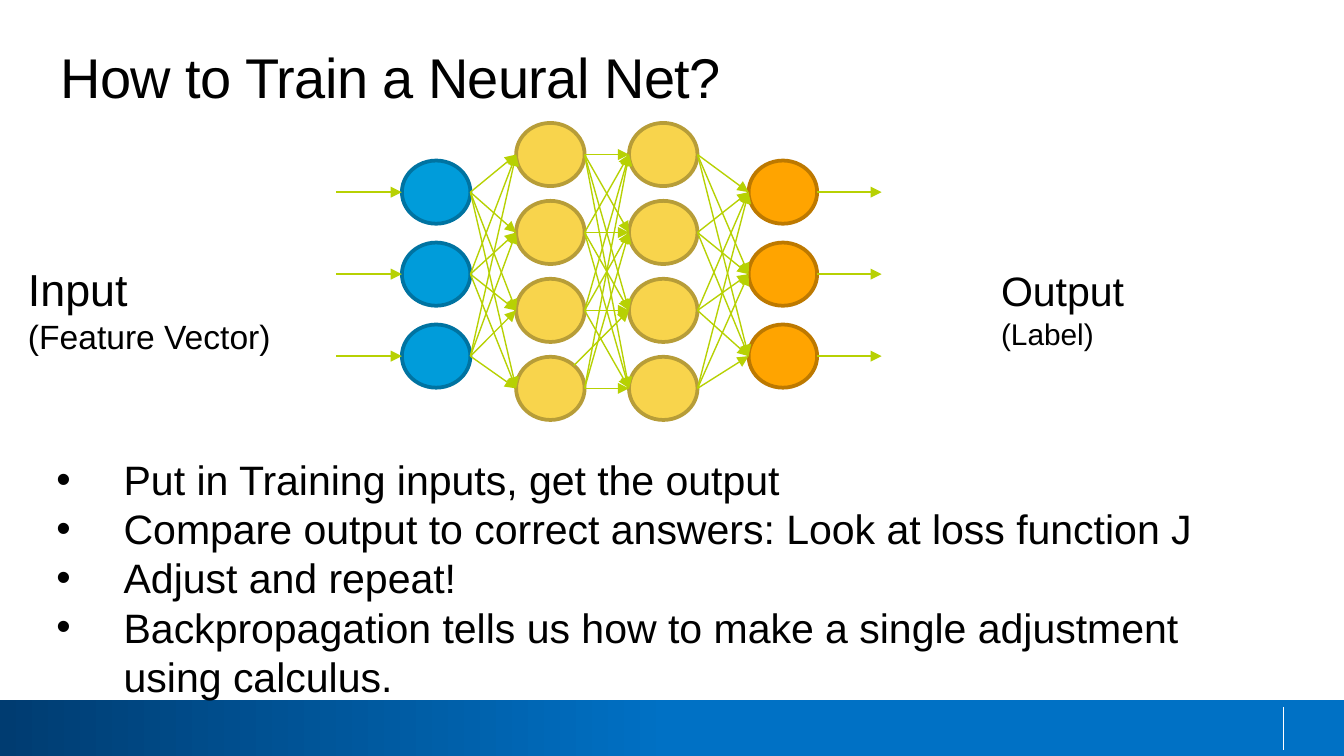
from itertools import pairwise, product

from pptx import Presentation
from pptx.dml.color import RGBColor
from pptx.enum.shapes import MSO_CONNECTOR as Conn, MSO_SHAPE as Geo
from pptx.enum.text import MSO_ANCHOR as Anchor, MSO_AUTO_SIZE as Fit, PP_ALIGN as Align
from pptx.oxml.ns import qn
from pptx.util import Inches, Pt
from lxml.etree import SubElement

BLACK = RGBColor(0x00, 0x00, 0x00)
WHITE = RGBColor(0xFF, 0xFF, 0xFF)
NAVY = RGBColor(0x00, 0x3C, 0x71)
BLUE = RGBColor(0x00, 0x71, 0xC5)
SKY = RGBColor(0x00, 0x9C, 0xDA)
SKY_RIM = RGBColor(0x00, 0x73, 0xA1)
GOLD = RGBColor(0xF8, 0xD4, 0x4C)
GOLD_RIM = RGBColor(0xB7, 0x9D, 0x38)
AMBER = RGBColor(0xFF, 0xA4, 0x00)
AMBER_RIM = RGBColor(0xBD, 0x79, 0x00)
LIME = RGBColor(0xB7, 0xD1, 0x03)

WIDTH = 10
HEIGHT = WIDTH * 9 / 16
NODE_W, NODE_H = 0.51, 0.47
OUTER = [1.43 + 0.61 * i for i in range(3)]
INNER = [1.15 + 0.58 * i for i in range(4)]
# Left edge, node centres, fill, rim
LAYERS = [
    (2.99, OUTER, SKY, SKY_RIM),
    (3.84, INNER, GOLD, GOLD_RIM),
    (4.68, INNER, GOLD, GOLD_RIM),
    (5.57, OUTER, AMBER, AMBER_RIM),
]
STEPS = [
    "Put in Training inputs, get the output",
    "Compare output to correct answers: Look at loss function J",
    "Adjust and repeat!",
    "Backpropagation tells us how to make a single adjustment using calculus.",
]


def put_text(shape, box, lines, sizes, inset=None, hang=0, track=0):
    """Place a text shape and fill it, one paragraph for each line."""
    shape.left, shape.top, shape.width, shape.height = map(Inches, box)
    frame = shape.text_frame
    frame.word_wrap = True
    frame.auto_size = Fit.NONE
    frame.vertical_anchor = Anchor.TOP
    if inset is not None:
        frame.margin_left = frame.margin_right = Inches(inset)
        frame.margin_top = frame.margin_bottom = Inches(inset)
    frame.text = "\n".join(lines)
    for par, size in zip(frame.paragraphs, sizes):
        par.alignment = Align.LEFT
        par.line_spacing = 1.0
        par.space_before = par.space_after = Pt(0)
        props = par._p.get_or_add_pPr()
        props.set("marL", str(Inches(hang)))
        props.set("indent", str(-Inches(hang)))
        font = par.runs[0].font
        font.name, font.size = "Arial", Pt(size)
        font.color.rgb = BLACK
        if track:
            par.runs[0]._r.get_or_add_rPr().set("spc", str(track))


def add_line(slide, start, end, color, arrow=True):
    line = slide.shapes.add_connector(Conn.STRAIGHT, *map(Inches, start + end))
    line.line.color.rgb = color
    line.line.width = Pt(0.75)
    if arrow:
        SubElement(line.line._get_or_add_ln(), qn("a:tailEnd"), type="triangle")
    SubElement(line._element.spPr, qn("a:effectLst"))


def add_node(slide, left, mid, fill, rim):
    node = slide.shapes.add_shape(
        Geo.OVAL, Inches(left), Inches(mid - NODE_H / 2), Inches(NODE_W), Inches(NODE_H))
    node.shadow.inherit = False
    node.fill.solid()
    node.fill.fore_color.rgb = fill
    node.line.color.rgb = rim
    node.line.width = Pt(2)


def add_band(slide):
    band = slide.shapes.add_shape(
        Geo.RECTANGLE, 0, Inches(5.21), Inches(WIDTH), Inches(HEIGHT - 5.21))
    band.shadow.inherit = False
    band.line.fill.background()
    band.fill.gradient()
    band.fill.gradient_angle = 0
    for stop, color, pos in zip(band.fill.gradient_stops, (NAVY, BLUE), (0, 0.5)):
        stop.color.rgb, stop.position = color, pos
    add_line(slide, (9.55, 5.26), (9.55, 5.58), WHITE, arrow=False)


def add_net(slide):
    for left, mids, fill, rim in LAYERS:
        for mid in mids:
            add_node(slide, left, mid, fill, rim)

    # Every node feeds every node of the next layer
    for (left, mids, *_), (right, ends, *_) in pairwise(LAYERS):
        for mid, end in product(mids, ends):
            start = (left + NODE_W, mid)
            # One edge leaves from the upper right of its node
            if mids is ends and (mid, end) == (INNER[3], INNER[2]):
                start = (4.27, 2.72)
            add_line(slide, start, (right, end), LIME)

    # Arrows into and out of the net
    for mid in OUTER:
        add_line(slide, (2.5, mid), (2.99, mid), LIME)
        add_line(slide, (6.08, mid), (6.56, mid), LIME)


def main():
    deck = Presentation()
    deck.slide_width, deck.slide_height = Inches(WIDTH), Inches(HEIGHT)
    slide = deck.slides.add_slide(deck.slide_layouts[1])
    title, body = slide.placeholders

    add_band(slide)
    put_text(title, (0.45, 0.32, 9.22, 0.5), ["How to Train a Neural Net?"], [30],
             inset=0, track=-30)
    add_net(slide)

    # Labels beside the net
    for box, lines, sizes in [
        ((0.11, 1.9, 2.05, 0.81), ["Input", "(Feature Vector)"], (24, 18)),
        ((7.35, 1.93, 2.32, 0.74), ["Output", "(Label)"], (22, 16)),
    ]:
        put_text(slide.shapes.add_textbox(0, 0, 0, 0), box, lines, sizes)

    # Steps, in front of the band
    put_text(body, (0.32, 3.33, 8.96, 1.95), STEPS, [22] * len(STEPS), hang=0.5)
    body._element.getparent().append(body._element)

    deck.save("out.pptx")


if __name__ == "__main__":
    main()
